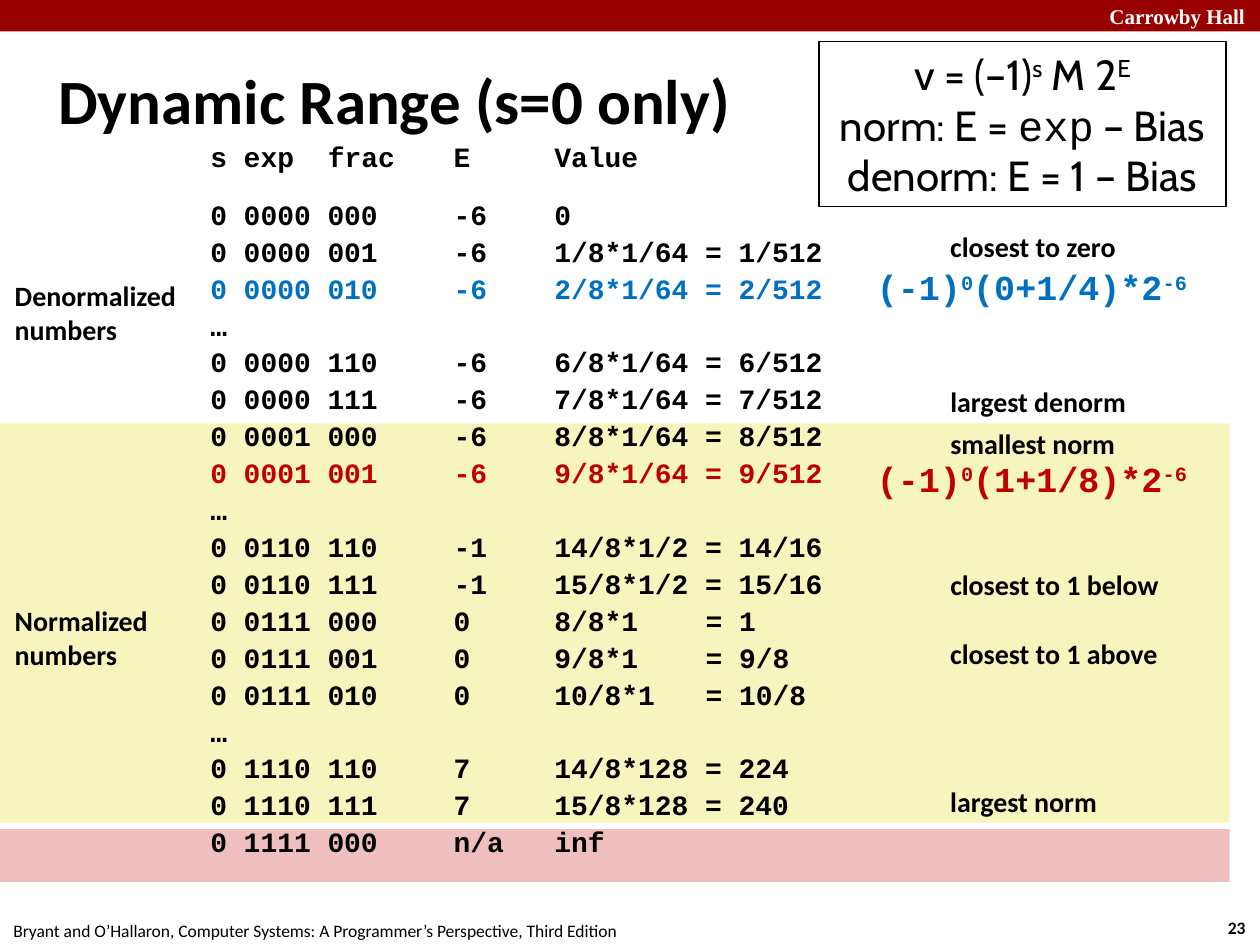
from lxml.etree import SubElement
from pptx import Presentation
from pptx.dml.color import RGBColor
from pptx.enum.shapes import MSO_SHAPE as Shape
from pptx.enum.text import MSO_ANCHOR as Anchor, MSO_AUTO_SIZE as AutoSize, PP_ALIGN as Align
from pptx.oxml.ns import qn
from pptx.util import Pt

COLORS = {
    "black": "000000", "white": "FFFFFF", "bar": "990000",
    "special": "EFBFBF", "normalized": "F6F5BD",
    "blue": "0070C0", "red": "C00000",
}
LABEL = {"name": "Calibri", "size": Pt(16), "bold": True}
SMALL = {"name": "Calibri", "size": Pt(10)}
SCHOOL = {"name": "Times New Roman", "size": Pt(12), "bold": True}
CODE = {"name": "Courier New", "size": Pt(16), "bold": True}
POWER = {"name": "Courier New", "size": Pt(20), "bold": True}
FORMULA = {"name": "Cabin", "size": Pt(24)}

# Columns of the value table: frac, E, Value, equals sign
TAB_STOPS = [67.2, 139, 196.6, 283]
ROWS = [
    "s exp\tfrac\tE\tValue",
    "0 0000 000\t-6\t0",
    "0 0000 001\t-6\t1/8*1/64 = 1/512",
    "0 0000 010\t-6\t2/8*1/64 = 2/512",
    "…",
    "0 0000 110\t-6\t6/8*1/64 = 6/512",
    "0 0000 111\t-6\t7/8*1/64 = 7/512",
    "0 0001 000\t-6\t8/8*1/64 = 8/512",
    "0 0001 001\t-6\t9/8*1/64 = 9/512",
    "…",
    "0 0110 110\t-1\t14/8*1/2 = 14/16",
    "0 0110 111\t-1\t15/8*1/2 = 15/16",
    "0 0111 000\t0\t8/8*1\t= 1",
    "0 0111 001\t0\t9/8*1\t= 9/8",
    "0 0111 010\t0\t10/8*1\t= 10/8",
    "…",
    "0 1110 110\t7\t14/8*128 = 224",
    "0 1110 111\t7\t15/8*128 = 240",
    "0 1111 000\tn/a\tinf",
]
ROW_COLORS = {3: "blue", 8: "red"}

# Remark, top, width
REMARKS = [
    ("closest to zero", 128.2, 119.5),
    ("largest denorm", 216.7, 123.1),
    ("smallest norm", 240.5, 115.9),
    ("closest to 1 below", 321.1, 145.4),
    ("closest to 1 above", 360.7, 146.2),
    ("largest norm", 445, 103.7),
]


def rgb(color):
    return RGBColor.from_string(COLORS[color])


def apply(target, values):
    for key, value in values.items():
        setattr(target, key, value)


def set_insets(frame, inset):
    sides = ("left", "top", "right", "bottom")
    apply(frame, {f"margin_{side}": Pt(inset) for side in sides})


def add_run(paragraph, text, font, color="black", raised=0):
    run = paragraph.add_run()
    run.text = text
    apply(run.font, font)
    run.font.color.rgb = rgb(color)
    if raised:
        run.font._element.set("baseline", str(raised * 1000))


def paragraphs(frame, count):
    return [frame.paragraphs[0]] + [frame.add_paragraph() for _ in range(count - 1)]


def add_lines(slide, box, lines, font, color="black", align=Align.LEFT, inset=None, wrap=False):
    frame = slide.shapes.add_textbox(*map(Pt, box)).text_frame
    apply(frame, {"word_wrap": wrap, "auto_size": AutoSize.SHAPE_TO_FIT_TEXT})
    if inset is not None:
        set_insets(frame, inset)
    for paragraph, line in zip(paragraphs(frame, len(lines)), lines):
        paragraph.alignment = align
        add_run(paragraph, line, font, color)


def add_rectangle(slide, box, fill=None):
    rectangle = slide.shapes.add_shape(Shape.RECTANGLE, *map(Pt, box))
    rectangle.shadow.inherit = False
    if fill:
        rectangle.fill.solid()
        rectangle.fill.fore_color.rgb = rgb(fill)
        rectangle.line.fill.background()
    else:
        rectangle.fill.background()
        rectangle.line.color.rgb = rgb("black")
        rectangle.line.width = Pt(0.75)
    return rectangle


def add_header(slide, left, top, width, height):
    add_rectangle(slide, (left, top, width, height), "bar")
    school_width = 120
    add_lines(slide, (left + width - school_width - 2.2, top - 1.4, school_width, 21.6),
              ["Carrowby Hall"], SCHOOL, "white", Align.RIGHT, wrap=True)


def add_footer(slide, left, top, width, height):
    source = "Bryant and O’Hallaron, Computer Systems: A Programmer’s Perspective, Third Edition"
    add_lines(slide, (left, top, 366, height), [source], SMALL, align=Align.CENTER)
    add_lines(slide, (left + width - 26.6, top - 1.5, 26.6, height), ["23"],
              {**SMALL, "bold": True}, align=Align.CENTER)


def add_title(slide, *box):
    title = slide.shapes.title
    apply(title, dict(zip(("left", "top", "width", "height"), map(Pt, box))))
    frame = title.text_frame
    apply(frame, {"vertical_anchor": Anchor.MIDDLE, "auto_size": AutoSize.NONE,
                  "word_wrap": True})
    set_insets(frame, 3)
    frame.paragraphs[0].alignment = Align.LEFT
    add_run(frame.paragraphs[0], "Dynamic Range (s=0 only)", {**LABEL, "size": Pt(36)})


def add_bands(slide, left, top, width):
    add_rectangle(slide, (left, top + 231.9, width, 30.2), "special")
    add_rectangle(slide, (left, top, width, 228.2), "normalized")


def add_values(slide, *box):
    frame = slide.shapes.add_textbox(*map(Pt, box)).text_frame
    frame.word_wrap = True
    set_insets(frame, 0)
    for index, (paragraph, row) in enumerate(zip(paragraphs(frame, len(ROWS)), ROWS)):
        paragraph.line_spacing = 1.1
        paragraph.space_before = Pt(12 if index == 1 else 0)
        tabs = SubElement(paragraph._p.get_or_add_pPr(), qn("a:tabLst"))
        for stop in TAB_STOPS:
            SubElement(tabs, qn("a:tab"), pos=str(Pt(stop)), algn="l")
        add_run(paragraph, row, CODE, ROW_COLORS.get(index, "black"))


def add_remarks(slide, left):
    for remark, top, width in REMARKS:
        add_lines(slide, (left, top, width, 25.2), [remark], LABEL, inset=3)


def add_groups(slide, left):
    for kind, top, width in (("Denormalized", 156.2, 111.6), ("Normalized", 342, 92.9)):
        add_lines(slide, (left, top, width, 44.6), [kind, "numbers"], LABEL, inset=3)


def add_formula(slide, *box):
    frame = add_rectangle(slide, box).text_frame
    apply(frame, {"word_wrap": True, "auto_size": AutoSize.SHAPE_TO_FIT_TEXT})
    mono = {**FORMULA, "name": "Courier New"}
    lines = [
        [("v = (–1)", FORMULA), ("s", FORMULA, 32), (" M 2", FORMULA), ("E", FORMULA, 32)],
        [("norm: E = ", FORMULA), ("exp", mono), (" – Bias", FORMULA)],
        [("denorm: E = 1 – Bias", FORMULA)],
    ]
    for paragraph, line in zip(paragraphs(frame, len(lines)), lines):
        paragraph.alignment = Align.CENTER
        for text, font, *raised in line:
            add_run(paragraph, text, font, "black", *raised)


def add_power(slide, left, top, mantissa, color):
    frame = slide.shapes.add_textbox(*map(Pt, (left, top, 196.6, 31.7))).text_frame
    apply(frame, {"word_wrap": False, "auto_size": AutoSize.SHAPE_TO_FIT_TEXT})
    for text, raised in (("(-1)", 0), ("0", 30), (f"({mantissa})*2", 0), ("-6", 30)):
        add_run(frame.paragraphs[0], text, POWER, color, raised)


def main():
    deck = Presentation()
    apply(deck, {"slide_width": Pt(720), "slide_height": Pt(540)})
    slide = deck.slides.add_slide(deck.slide_layouts[5])

    # Frame of the slide
    add_footer(slide, -3, 522, 723, 19.4)
    add_header(slide, 0, 0, 720.7, 18)
    add_title(slide, 30.2, 20.2, 660, 72.7)

    # Values on their coloured bands
    add_bands(slide, 0, 241.9, 702.7)
    add_values(slide, 120.2, 77.8, 366, 438)

    # Explanations beside the values
    add_remarks(slide, 540)
    add_groups(slide, 5.4)
    add_formula(slide, 468, 23.8, 232.6, 94.3)
    add_power(slide, 494, 148.3, "0+1/4", "blue")
    add_power(slide, 494, 257.8, "1+1/8", "red")

    deck.save("out.pptx")


if __name__ == "__main__":
    main()
